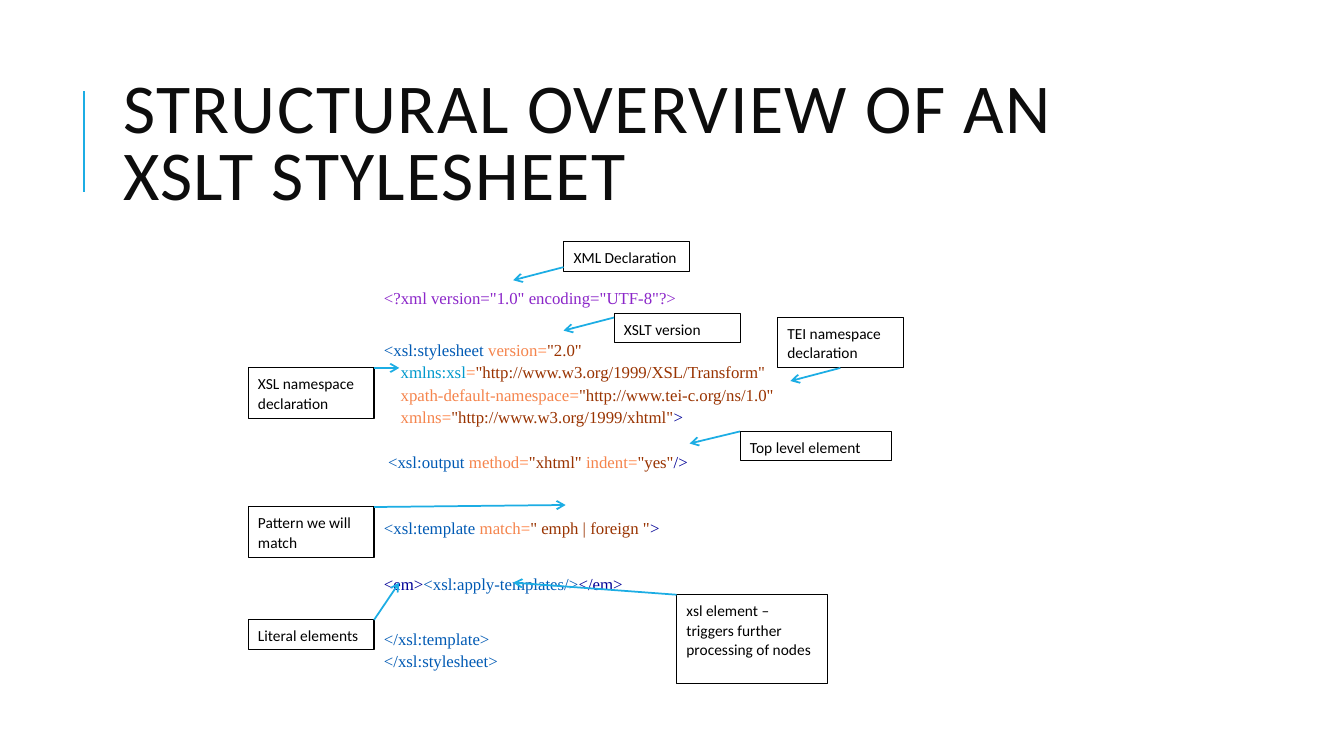
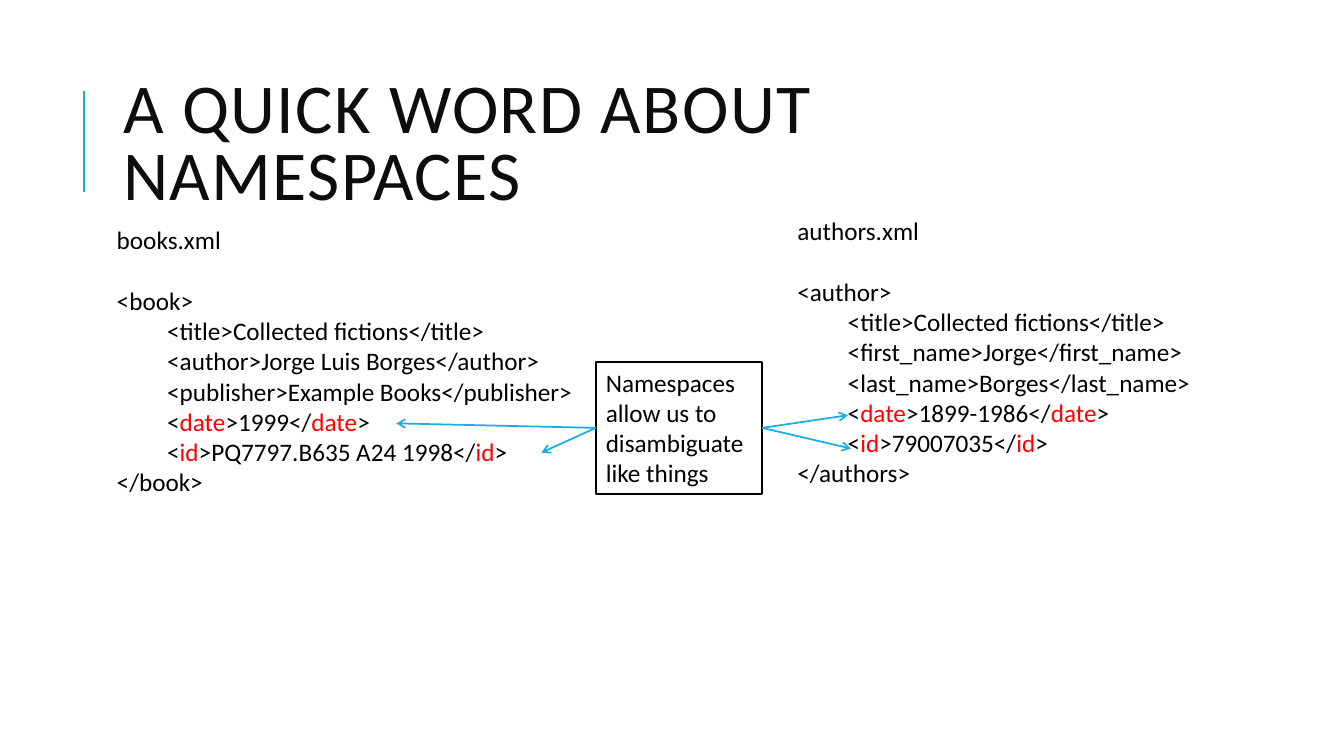
from lxml import etree
from pptx import Presentation
from pptx.dml.color import RGBColor
from pptx.enum.shapes import MSO_CONNECTOR, MSO_SHAPE
from pptx.enum.text import MSO_ANCHOR, MSO_AUTO_SIZE, PP_ALIGN
from pptx.oxml import parse_xml
from pptx.oxml.ns import nsdecls, qn
from pptx.util import Inches, Pt

STRAIGHT = MSO_CONNECTOR.STRAIGHT
RECTANGLE = MSO_SHAPE.RECTANGLE
TOP, MIDDLE = MSO_ANCHOR.TOP, MSO_ANCHOR.MIDDLE
LEFT = PP_ALIGN.LEFT
NO_AUTOFIT = MSO_AUTO_SIZE.NONE
LEFT_SIDE, BOTTOM_SIDE, RIGHT_SIDE = 1, 2, 3

SANS, SERIF = "Calibri", "Times New Roman"
COLORS = {
    "title": "0D0D0D", "accent": "1CADE4", "text": "000000", "paper": "FFFFFF",
    "highlight": "FF0000", "prolog": "8B26C9", "xsl": "005AB4", "attr": "F5844C",
    "equals": "FF8040", "value": "993300", "prefix": "0099CC", "tag": "000096",
}

# Each line: coloured runs, then the space after it in points
STYLESHEET = [
    ([('<?xml version="1.0" encoding="UTF-8"?>', "prolog")], 21),
    ([("<xsl:stylesheet", "xsl"), (" version", "attr"), ("=", "equals"),
      ('"2.0"', "value")], 0),
    ([("    xmlns:xsl", "prefix"), ("=", "equals"),
      ('"http://www.w3.org/1999/XSL/Transform"', "value")], 0),
    ([("    xpath-default-namespace", "attr"), ("=", "equals"),
      ('"http://www.tei-c.org/ns/1.0"', "value")], 0),
    ([("    xmlns", "attr"), ("=", "equals"),
      ('"http://www.w3.org/1999/xhtml"', "value"), (">", "tag")], 15.5),
    ([(" <xsl:output", "xsl"), (" method", "attr"), ("=", "equals"),
      ('"xhtml"', "value"), (" indent", "attr"), ("=", "equals"),
      ('"yes"', "value"), ("/>", "tag")], 31),
    ([("<xsl:template", "xsl"), (" match", "attr"), ("=", "equals"),
      ('" emph | foreign "', "value"), (">", "tag")], 24),
    ([("<em>", "tag"), ("<xsl:apply-templates/>", "xsl"), ("</em>", "tag")], 23),
    ([("</xsl:template>", "xsl")], 0),
    ([("</xsl:stylesheet>", "xsl")], 0),
]

# Label, position and size, arrow start, arrow tip
CALLOUTS = [
    ("XML Declaration", (5.59, 2.4, 1.25, 0.29), (5.59, 2.65), (5.09, 2.78)),
    ("XSL namespace declaration", (2.46, 3.65, 1.25, 0.5), (3.71, 3.65), (3.96, 3.65)),
    ("Top level element", (7.34, 4.28, 1.5, 0.29), (7.34, 4.28), (6.84, 4.4)),
    ("XSLT version", (6.09, 3.11, 1.25, 0.29), (6.09, 3.15), (5.59, 3.28)),
    ("Pattern we will match", (2.46, 5.03, 1.25, 0.5), (3.71, 5.03), (5.61, 5.01)),
    ("Literal elements", (2.46, 6.15, 1.25, 0.29), (3.71, 6.15), (3.96, 5.78)),
    ("xsl element – triggers further processing of nodes",
     (6.71, 5.9, 1.5, 0.88), (6.71, 5.9), (5.09, 5.78)),
]

BOOK = ["<title>Collected fictions</title>", "<author>Jorge Luis Borges</author>",
        "<publisher>Example Books</publisher>"]
AUTHOR = ["<title>Collected fictions</title>", "<first_name>Jorge</first_name>",
          "<last_name>Borges</last_name>"]


def rgb(color):
    return RGBColor.from_string(COLORS[color])


def write(frame, runs, *, size, font=SANS, spacing=None, after=0, indent=0):
    """Add a paragraph of (text, colour) runs, using the first one if it is empty."""
    paragraph = frame.paragraphs[0]
    if paragraph.runs:
        paragraph = frame.add_paragraph()
    if indent:
        paragraph._p.get_or_add_pPr().set("marL", str(Inches(indent)))
    paragraph.alignment = LEFT
    paragraph.space_after = Pt(after)
    if spacing:
        paragraph.line_spacing = spacing
    for text, color in runs:
        run = paragraph.add_run()
        run.text = text
        run.font.size = Pt(size)
        run.font.name = font
        run.font.color.rgb = rgb(color)


def add_line(slide, start, end, width=1.25):
    line = slide.shapes.add_connector(STRAIGHT, *map(Inches, start + end))
    line.line.color.rgb = rgb("accent")
    line.line.width = Pt(width)
    etree.SubElement(line.element.spPr, qn("a:effectLst"))
    return line


def add_arrow(slide, start, tip, box=None, side=None):
    """Draw an arrow, joined to the middle of a box side when a box is given."""
    arrow = add_line(slide, start, tip)
    etree.SubElement(arrow.element.spPr.find(qn("a:ln")), qn("a:tailEnd"), type="arrow")
    if box is not None:
        arrow.begin_connect(box, side)


def add_label(slide, text, place, *, border=0.75, **text_format):
    label = slide.shapes.add_shape(RECTANGLE, *map(Inches, place))
    label.shadow.inherit = False
    label.fill.solid()
    label.fill.fore_color.rgb = rgb("paper")
    label.line.color.rgb = rgb("text")
    label.line.width = Pt(border)
    label.text_frame.word_wrap = True
    label.text_frame.vertical_anchor = TOP
    write(label.text_frame, [(text, "text")], **text_format)
    return label


def add_text_frame(slide, place):
    frame = slide.shapes.add_textbox(*map(Inches, place)).text_frame
    frame.word_wrap = True
    return frame


def element_runs(name, content):
    return [("<", "text"), (name, "highlight"), (f">{content}</", "text"),
            (name, "highlight"), (">", "text")]


def add_record(slide, place, file_name, opening, fields, date, identifier, closing):
    """Show an XML file with its ambiguous elements highlighted."""
    frame = add_text_frame(slide, place)
    write(frame, [(file_name, "text")], size=18, after=21.6)
    write(frame, [(opening, "text")], size=18)
    children = [[(field, "text")] for field in fields]
    children += [element_runs("date", date), element_runs("id", identifier)]
    for runs in children:
        write(frame, runs, size=18, indent=0.5)
    write(frame, [(closing, "text")], size=18)


def style_title(layout):
    title = layout.placeholders[0]
    title.left, title.top, title.width, title.height = map(
        Inches, (1.12, 0.64, 10.63, 1.64))
    frame = title.text_frame
    frame.auto_size = NO_AUTOFIT
    frame.vertical_anchor = MIDDLE
    title.element.txBody.find(qn("a:lstStyle")).append(parse_xml(
        f'<a:lvl1pPr {nsdecls("a")} algn="l"><a:lnSpc><a:spcPct val="80000"/></a:lnSpc>'
        f'<a:defRPr sz="5000" spc="100"><a:solidFill><a:srgbClr val="{COLORS["title"]}"/>'
        f'</a:solidFill><a:latin typeface="{SANS}"/></a:defRPr></a:lvl1pPr>'))


def add_title_bar(layout, slide):
    """Draw the bar on a slide and move it to the layout, which cannot draw lines."""
    bar = add_line(slide, (0.83, 1.9), (0.83, 0.9), width=1.5)
    bar.element.nvCxnSpPr.cNvPr.set("id", "20")
    layout.shapes.element.append(bar.element)


def add_slide(presentation, layout, title):
    slide = presentation.slides.add_slide(layout)
    slide.shapes.title.text_frame.text = title
    return slide


def fill_overview(slide):
    code = add_text_frame(slide, (3.71, 2.78, 5, 4.25))
    for runs, after in STYLESHEET:
        write(code, runs, size=12, font=SERIF, spacing=1.12, after=after)
    label_format = {"size": 11, "spacing": 1.07}
    for text, place, _, _ in CALLOUTS:
        add_label(slide, text, place, **label_format)
    tei = add_label(slide, "TEI namespace declaration", (7.71, 3.15, 1.25, 0.5),
                    **label_format)
    for _, _, start, tip in CALLOUTS:
        add_arrow(slide, start, tip)
    add_arrow(slide, (8.34, 3.65), (7.84, 3.78), tei, BOTTOM_SIDE)


def fill_namespaces(slide):
    add_record(slide, (1.06, 2.18, 4.96, 3.43), "books.xml", "<book>", BOOK,
               "1999", "PQ7797.B635 A24 1998", "</book>")
    add_record(slide, (7.81, 2.09, 4.84, 3.43), "authors.xml", "<author>", AUTHOR,
               "1899-1986", "79007035", "</authors>")
    note = add_label(slide, "Namespaces allow us to disambiguate like things",
                     (5.91, 3.59, 1.65, 1.31), border=1.25, size=18)
    for side, x, tips in ((LEFT_SIDE, 5.91, ((3.93, 4.2), (5.37, 4.49))),
                          (RIGHT_SIDE, 7.56, ((8.41, 4.12), (8.44, 4.45)))):
        for tip in tips:
            add_arrow(slide, (x, 4.25), tip, note, side)


def main():
    presentation = Presentation()
    presentation.slide_width, presentation.slide_height = Inches(13.33), Inches(7.5)
    layout = presentation.slide_layouts.get_by_name("Title Only")
    style_title(layout)
    overview = add_slide(presentation, layout, "STRUCTURAL OVERVIEW OF AN XSLT STYLESHEET")
    add_title_bar(layout, overview)
    fill_overview(overview)
    fill_namespaces(add_slide(presentation, layout, "A QUICK WORD ABOUT NAMESPACES"))
    presentation.save("out.pptx")


if __name__ == "__main__":
    main()
